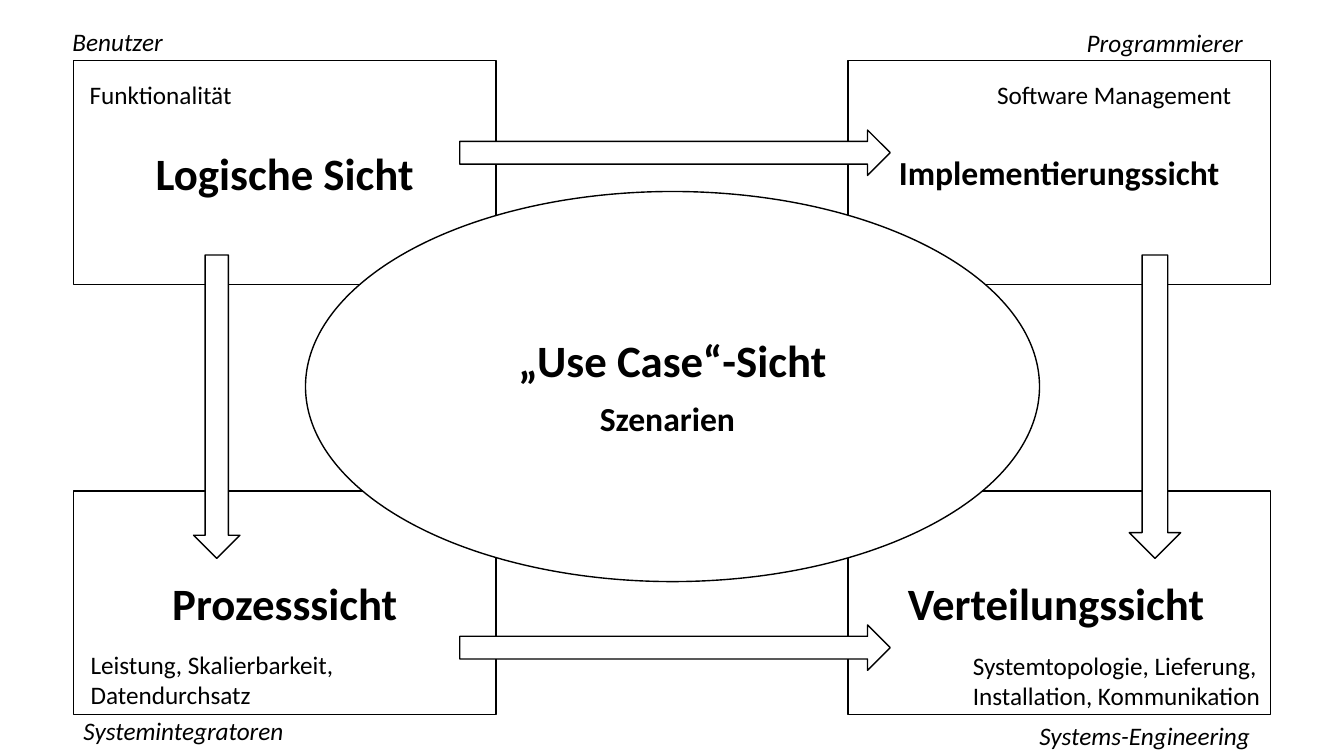
"""Build the 4+1 view model slide: four views around the use case view."""
import pptx
import pptx.dml.color
import pptx.enum.shapes
import pptx.enum.text
import pptx.util

Inches = pptx.util.Inches
Pt = pptx.util.Pt
SHAPE = pptx.enum.shapes.MSO_SHAPE
BLACK = pptx.dml.color.RGBColor(0, 0, 0)
WHITE = pptx.dml.color.RGBColor(255, 255, 255)

deck = pptx.Presentation()
deck.slide_width, deck.slide_height = Inches(13.33), Inches(7.5)
slide = deck.slides.add_slide(deck.slide_layouts[6])


def add_run(paragraph, words, size, bold=False, italic=False):
    run = paragraph.add_run()
    run.text = words
    run.font.name = "Calibri"
    run.font.size = Pt(size)
    run.font.bold = bold
    run.font.italic = italic
    run.font.color.rgb = BLACK


def add_outlined(kind, left, top, width, height, lines=()):
    outlined = slide.shapes.add_shape(
        kind, Inches(left), Inches(top), Inches(width), Inches(height))
    outlined.shadow.inherit = False
    outlined.fill.solid()
    outlined.fill.fore_color.rgb = WHITE
    outlined.line.color.rgb = BLACK
    outlined.line.width = Pt(1)
    frame = outlined.text_frame
    frame.vertical_anchor = pptx.enum.text.MSO_ANCHOR.MIDDLE
    for number, runs in enumerate(lines):
        paragraph = frame.add_paragraph() if number else frame.paragraphs[0]
        paragraph.alignment = pptx.enum.text.PP_ALIGN.CENTER
        for words, size, bold in runs:
            add_run(paragraph, words, size, bold=bold)


LEFT, RIGHT, TOP, BOTTOM = 0.73, 8.41, 0.6, 4.87
views = [
    (LEFT, TOP, [("Logische Sicht", 32, True)]),
    (LEFT, BOTTOM, [("Prozesssicht", 32, True)]),
    (RIGHT, BOTTOM, [("Verteilungssicht", 32, True), (" ", 18, False)]),
    (RIGHT, TOP, [("Implementierungssicht", 24, True)]),
]
for left, top, title in views:
    add_outlined(SHAPE.RECTANGLE, left, top, 4.19, 2.22, [title])

add_outlined(SHAPE.OVAL, 3.03, 1.9, 7.28, 3.87, [
    [("„Use Case“-Sicht", 32, True)],
    [("Szenarien", 24, True), (" ", 32, True)],
])

for top in (1.29, 6.2):
    add_outlined(SHAPE.RIGHT_ARROW, 4.56, top, 4.27, 0.45)
for left, width in ((1.92, 0.46), (11.2, 0.51)):
    add_outlined(SHAPE.DOWN_ARROW, left, 2.53, width, 3.01)

stakeholders = [
    (0.62, 0.21, 1.92, 0.4, "Benutzer"),
    (10.68, 0.22, 1.92, 0.4, "Programmierer"),
    (10.21, 7.1, 2.46, 0.4, "Systems-Engineering"),
    (0.73, 7.05, 2.46, 0.4, "Systemintegratoren"),
]
concerns = [
    (0.79, 0.74, 1.92, 0.4, "Funktionalität"),
    (0.8, 6.39, 3.83, 0.71, "Leistung, Skalierbarkeit, Datendurchsatz"),
    (9.79, 0.74, 2.62, 0.4, "Software Management"),
    (9.55, 6.4, 3.59, 0.71,
     "Systemtopologie, Lieferung, Installation, Kommunikation"),
]
for labels, italic in ((stakeholders, True), (concerns, False)):
    for left, top, width, height, words in labels:
        label = slide.shapes.add_textbox(
            Inches(left), Inches(top), Inches(width), Inches(height))
        label.text_frame.word_wrap = True
        label.text_frame.auto_size = pptx.enum.text.MSO_AUTO_SIZE.SHAPE_TO_FIT_TEXT
        add_run(label.text_frame.paragraphs[0], words, 18, italic=italic)

deck.save("out.pptx")
